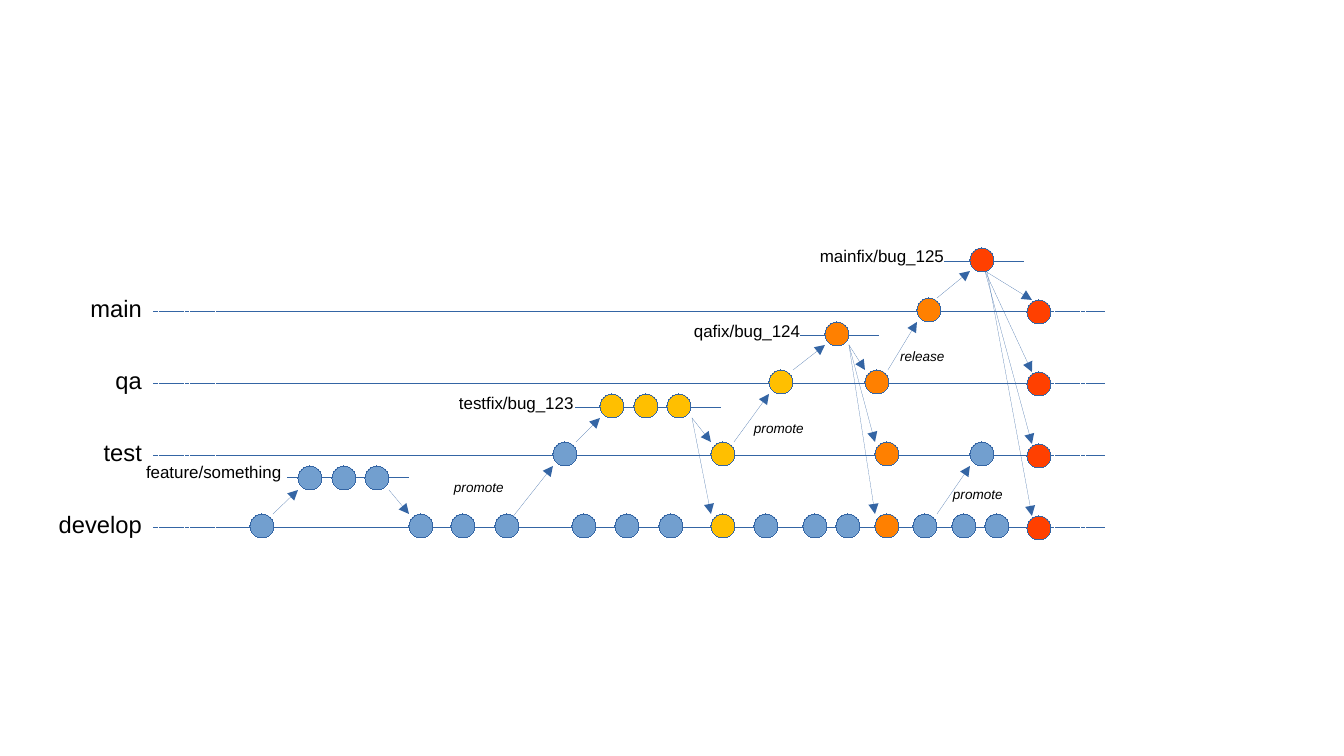
"""Builds a slide of a branching model with four lanes, fix branches and promotions."""
from lxml import etree
from pptx import Presentation
from pptx import util as u
from pptx.dml.color import RGBColor
from pptx.enum import dml, shapes, text
from pptx.oxml.ns import qn

SCALE = 914400 / 122
FONT = "Arial"
COLORS = {"line": "3465A4", "text": "000000", "blue": "729FCF",
          "gold": "FFBF00", "orange": "FF8000", "red": "FF4000"}

SIZE = (1344, 756)
DOT = 24
TOP, STEP = 312, 72
SPANS = [(154, 240, True), (240, 1032, False), (1050, 1105, True)]

LANES = [
    ("main", 80, {"orange": [929]}),
    ("qa", 54, {"gold": [781], "orange": [877]}),
    ("test", 66, {"blue": [565, 982], "gold": [723], "orange": [887]}),
    ("develop", 111, {
        "blue": [262, 421, 463, 507, 584, 627, 671, 766, 815, 848, 925, 964, 997],
        "gold": [723], "orange": [887]}),
]
MERGE = 1039

FIXES = [
    ("feature/something", (134, 456, 162), (288, 409, 478), 478, "blue", [310, 344, 377]),
    ("testfix/bug_123", (447, 387, 142), (576, 721, 408), 406, "gold", [612, 646, 679]),
    ("qafix/bug_124", (682, 315, 134), (801, 879, 336), 334, "orange", [837]),
    ("mainfix/bug_125", (808, 240, 151), (945, 1024, 262), 260, "red", [982]),
]

ARROWS = [
    ((273, 514), [(298, 490)]),
    ((389, 490), [(409, 514)]),
    ((504, 528), [(553, 466)]),
    ((576, 442), [(600, 418)]),
    ((692, 418), [(711, 442), (711, 514)]),
    ((734, 442), [(769, 394)]),
    ((793, 370), [(825, 345)]),
    ((849, 345), [(865, 370), (875, 442), (875, 514)]),
    ((888, 370), [(917, 322)]),
    ((937, 298), [(970, 271)]),
    ((985, 271), [(1032, 300), (1032, 372), (1032, 444)]),
    ((987, 271), [(1032, 516)]),
    ((937, 514), [(970, 466)]),
]

NOTES = [("promote", 442, 473, 78), ("promote", 742, 414, 78),
         ("release", 888, 342, 74), ("promote", 941, 480, 78)]


def px(*nums):
    return [u.Emu(round(n * SCALE)) for n in nums]


def color(name):
    return RGBColor.from_string(COLORS[name])


def hair(line):
    line.color.rgb = color("line")
    edge = line._get_or_add_ln()
    edge.set("w", "0")
    return edge


def rule(slide, start, end, dash=False, arrow=False):
    link = slide.shapes.add_connector(shapes.MSO_CONNECTOR.STRAIGHT, *px(*start, *end))
    edge = hair(link.line)
    if dash:
        link.line.dash_style = dml.MSO_LINE.SQUARE_DOT
    if arrow:
        etree.SubElement(edge, qn("a:tailEnd")).set("type", "triangle")
    etree.SubElement(link._element.spPr, qn("a:effectLst"))


def dot(slide, x, y, fill):
    ball = slide.shapes.add_shape(shapes.MSO_SHAPE.OVAL,
                                  *px(x - DOT / 2, y - DOT / 2, DOT, DOT))
    ball.shadow.inherit = False
    ball.fill.solid()
    ball.fill.fore_color.rgb = color(fill)
    hair(ball.line)


def label(slide, words, box, size, align=text.PP_ALIGN.LEFT, italic=False):
    frame = slide.shapes.add_textbox(*px(*box)).text_frame
    frame.word_wrap = False
    frame.auto_size = text.MSO_AUTO_SIZE.SHAPE_TO_FIT_TEXT
    frame.text = words
    para = frame.paragraphs[0]
    para.alignment = align
    font = para.runs[0].font
    font.name, font.size, font.italic = FONT, u.Pt(size), italic
    font.color.rgb = color("text")


def main():
    deck = Presentation()
    deck.slide_width, deck.slide_height = px(*SIZE)
    slide = deck.slides.add_slide(deck.slide_layouts[6])
    dots = []

    for row, (name, wide, marks) in enumerate(LANES):
        y = TOP + row * STEP
        for left, right, dash in SPANS:
            rule(slide, (left, y), (right, y), dash=dash)
        label(slide, name, (SPANS[0][0] - wide, y - 24, wide, 39), 14, text.PP_ALIGN.RIGHT)
        dots += [(x, y - 2, fill) for fill, spots in marks.items() for x in spots]
        dots.append((MERGE, y, "red"))

    for name, (x, y, wide), (left, right, base), mid, fill, spots in FIXES:
        rule(slide, (left, base), (right, base))
        label(slide, name, (x, y, wide, 31), 10)
        dots += [(spot, mid, fill) for spot in spots]

    for start, ends in ARROWS:
        for end in ends:
            rule(slide, start, end, arrow=True)

    for spot in dots:
        dot(slide, *spot)

    for words, x, y, wide in NOTES:
        label(slide, words, (x, y, wide, 27), 8, italic=True)

    deck.save("out.pptx")


if __name__ == "__main__":
    main()
